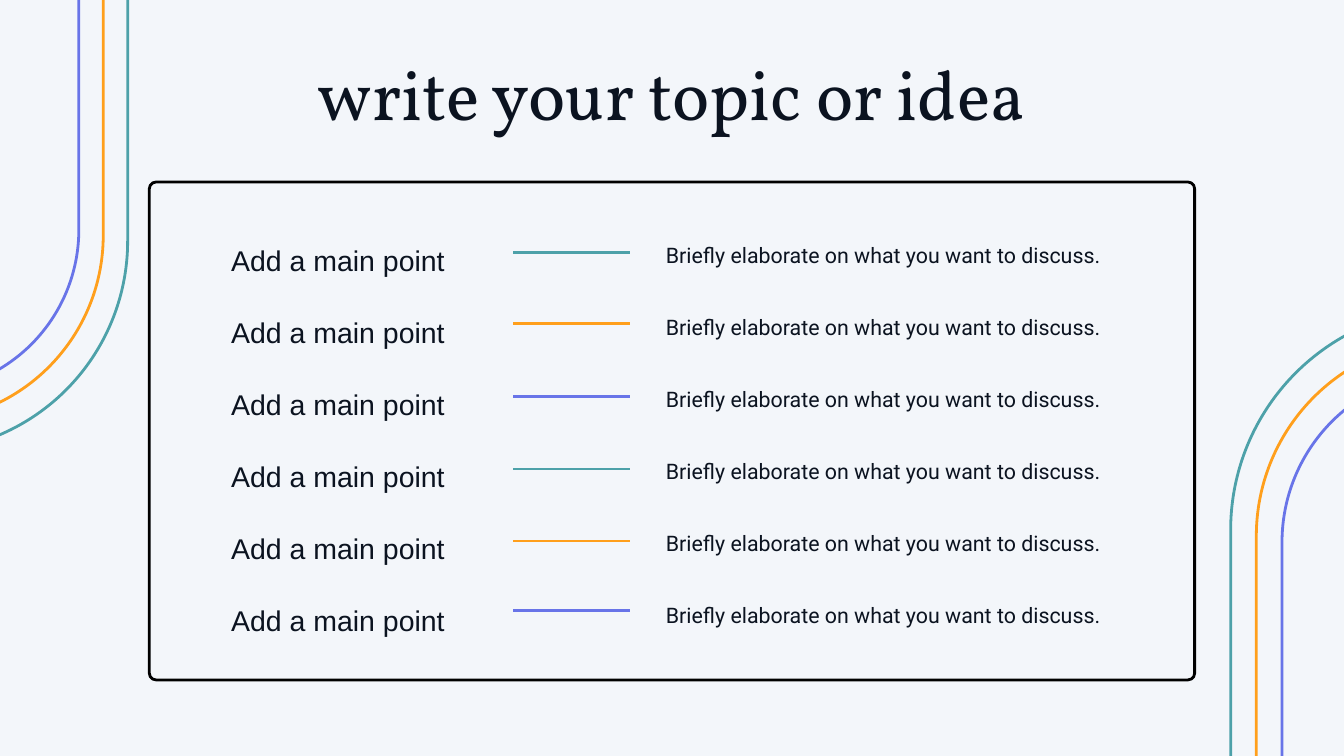
import pptx
import pptx.dml.color
import pptx.enum.shapes
import pptx.enum.text
import pptx.oxml.ns
import pptx.util
from lxml import etree

Pt = pptx.util.Pt
SHAPES = pptx.enum.shapes.MSO_SHAPE
ALIGN = pptx.enum.text.PP_ALIGN

INK, TEAL, ORANGE, VIOLET = "0B1320", "4DA1A9", "FF9F1C", "6874E8"
ACCENTS = (TEAL, ORANGE, VIOLET)


def colour(hex_string):
    return pptx.dml.color.RGBColor.from_string(hex_string)


class Board:
    """Holds the line and text style together with the slide being drawn."""

    stroke = 3
    formats = {
        "title": {"name": "Vollkorn", "size": Pt(75)},
        "point": {"name": "Arial", "size": Pt(30.5)},
        "detail": {"name": "Roboto", "size": Pt(22.9)},
    }
    frame_format = {
        "margin_left": 0, "margin_top": 0, "margin_right": 0, "margin_bottom": 0,
        "word_wrap": True,
        "auto_size": pptx.enum.text.MSO_AUTO_SIZE.SHAPE_TO_FIT_TEXT,
    }

    def __init__(self, slide, background):
        self.slide = slide
        slide.background.fill.solid()
        slide.background.fill.fore_color.rgb = colour(background)

    def apply(self, target, values):
        for attribute, value in values.items():
            setattr(target, attribute, value)

    def text(self, wording, box, role, spacing, align=ALIGN.LEFT):
        frame = self.slide.shapes.add_textbox(*map(Pt, box)).text_frame
        self.apply(frame, self.frame_format)
        paragraph = frame.paragraphs[0]
        self.apply(paragraph, {"alignment": align, "line_spacing": spacing})
        run = paragraph.add_run()
        run.text = wording
        self.apply(run.font, self.formats[role])
        run.font.color.rgb = colour(INK)

    def outline(self, kind, box, line, corners, rotation=0):
        """Add an unfilled preset shape; corners are its adjustment values."""
        shape = self.slide.shapes.add_shape(kind, *map(Pt, box))
        self.apply(shape, {"rotation": rotation})
        shape.shadow.inherit = False
        shape.fill.background()
        self.apply(shape.line, {"width": Pt(self.stroke)})
        shape.line.color.rgb = colour(line)
        for index, value in enumerate(corners):
            shape.adjustments[index] = value

    def dash(self, left, right, y, line):
        dash = self.slide.shapes.add_connector(
            pptx.enum.shapes.MSO_CONNECTOR.STRAIGHT, Pt(left), Pt(y), Pt(right), Pt(y))
        dash.line.width = Pt(self.stroke)
        dash.line.color.rgb = colour(line)
        properties = dash._element.spPr
        etree.SubElement(properties, pptx.oxml.ns.qn("a:effectLst"))

    def arches(self, centre, size, shrink, rotation=0):
        """Nest one round-topped arch per accent colour around a shared centre."""
        for level, accent in enumerate(ACCENTS):
            width, height = (full - level * step for full, step in zip(size, shrink))
            box = (centre[0] - width / 2, centre[1] - height / 2, width, height)
            self.outline(SHAPES.ROUND_2_SAME_RECTANGLE, box, accent, (0.5, 0), rotation)


def main():
    deck = pptx.Presentation()
    deck.slide_width, deck.slide_height = Pt(1440), Pt(810)
    board = Board(deck.slides.add_slide(deck.slide_layouts[6]), "F3F6FA")

    board.text("write your topic or idea", (80.6, 36, 1278, 90), "title", 1.2, ALIGN.CENTER)
    board.outline(SHAPES.ROUNDED_RECTANGLE, (160, 195, 1120, 533.5), "000000", (0.0135,))

    row_pitch = 77.2
    dash_heights = (270.7, 346.3, 424.8, 502.6, 579.6, 653.8)
    for row, dash_y in enumerate(dash_heights):
        offset = row * row_pitch
        board.text("Add a main point", (247.7, 252.7 + offset, 302.4, 36.7), "point", 1.2)
        board.text("Briefly elaborate on what you want to discuss.",
                   (713.5, 248.5 + offset, 535.7, 30.2), "detail", 1.4)
        board.dash(550, 675.4, dash_y, ACCENTS[row % len(ACCENTS)])

    board.arches((1556.6, 622.8), (476, 586), (55, 68))
    board.arches((-89, 206), (451.5, 556), (52.3, 64.4), rotation=180)

    deck.save("out.pptx")


if __name__ == "__main__":
    main()
